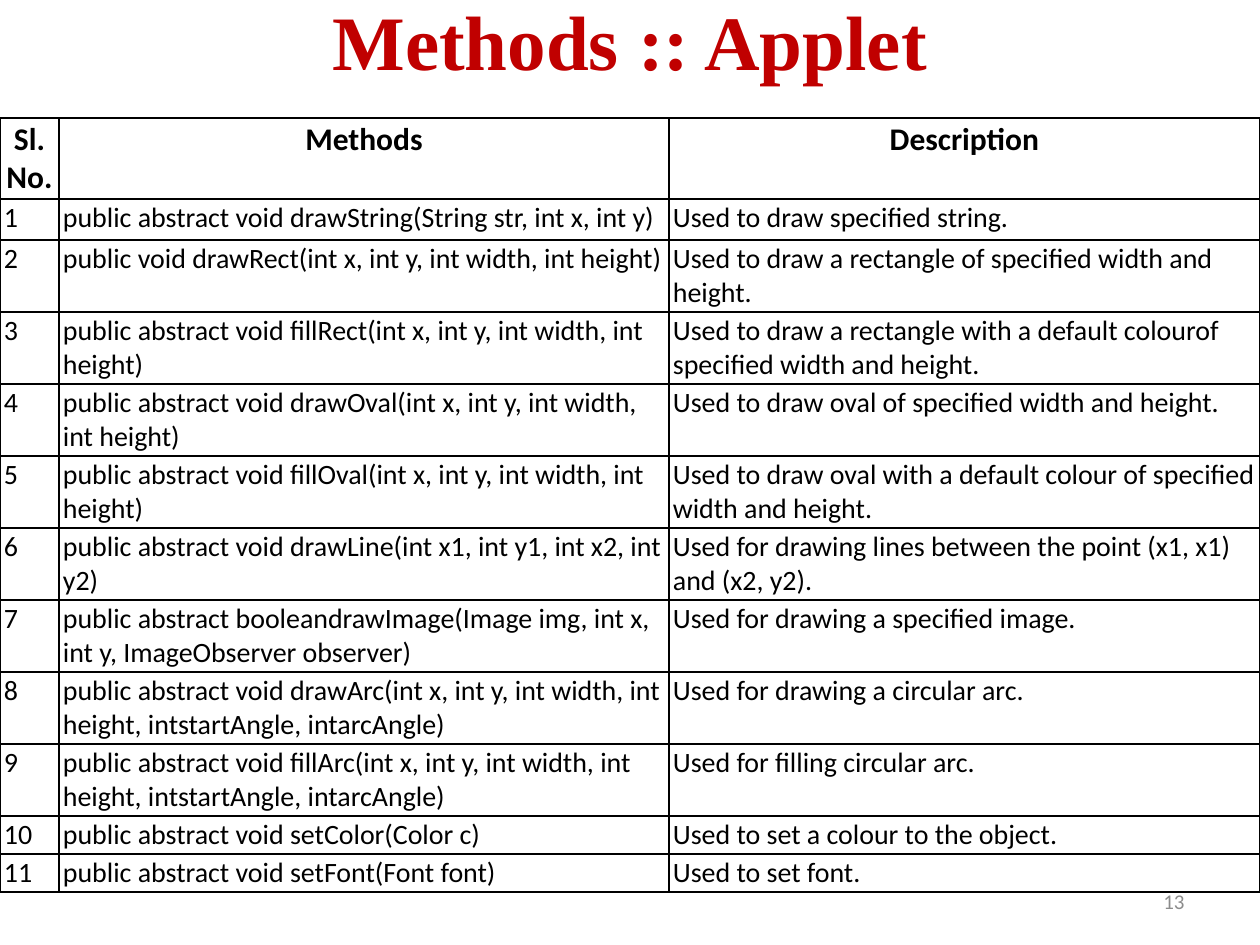
from pptx import Presentation, util as u
from pptx.dml.color import RGBColor
from pptx.enum import text
from pptx.oxml import parse_xml
from pptx.oxml.ns import nsdecls

PX = 914400 / 126
RED = RGBColor(0xC0, 0x00, 0x00)
BLACK = RGBColor(0x00, 0x00, 0x00)
GREY = RGBColor(0x8C, 0x8C, 0x8C)
WHITE = RGBColor(0xFF, 0xFF, 0xFF)

HEADER = ("Sl. No.", "Methods", "Description")
METHODS = [
    ("public abstract void drawString(String str, int x, int y)",
     "Used to draw specified string."),
    ("public void drawRect(int x, int y, int width, int height)",
     "Used to draw a rectangle of specified width and height."),
    ("public abstract void fillRect(int x, int y, int width, int height)",
     "Used to draw a rectangle with a default colourof specified width and height."),
    ("public abstract void drawOval(int x, int y, int width, int height)",
     "Used to draw oval of specified width and height."),
    ("public abstract void fillOval(int x, int y, int width, int height)",
     "Used to draw oval with a default colour of specified width and height."),
    ("public abstract void drawLine(int x1, int y1, int x2, int y2)",
     "Used for drawing lines between the point (x1, x1) and (x2, y2)."),
    ("public abstract booleandrawImage(Image img, int x, int y, ImageObserver observer)",
     "Used for drawing a specified image."),
    ("public abstract void drawArc(int x, int y, int width, int height, intstartAngle, intarcAngle)",
     "Used for drawing a circular arc."),
    ("public abstract void fillArc(int x, int y, int width, int height, intstartAngle, intarcAngle)",
     "Used for filling circular arc."),
    ("public abstract void setColor(Color c)",
     "Used to set a colour to the object."),
    ("public abstract void setFont(Font font)",
     "Used to set font."),
]
COLUMN_WIDTHS = (59, 610, 591)
ROW_HEIGHTS = [81, 41] + [72] * 8 + [38] * 2


def px(length):
    return u.Emu(round(length * PX))


def style(paragraph, size, color, font="Calibri", bold=False, align=text.PP_ALIGN.LEFT):
    paragraph.alignment = align
    paragraph.font.size = u.Pt(size)
    paragraph.font.name = font
    paragraph.font.bold = bold
    paragraph.font.color.rgb = color


def add_title(slide, wording):
    title = slide.shapes.title
    title.left, title.top, title.width, title.height = px(0), px(-39), px(1260), px(157)
    frame = title.text_frame
    frame.text = wording
    frame.vertical_anchor = text.MSO_ANCHOR.MIDDLE
    style(frame.paragraphs[0], 44, RED, "Times New Roman", True, text.PP_ALIGN.CENTER)


def add_page_number(slide, number):
    frame = slide.shapes.add_textbox(px(903), px(876), px(294), px(50)).text_frame
    frame.word_wrap = True
    frame.vertical_anchor = text.MSO_ANCHOR.MIDDLE
    frame.text = number
    style(frame.paragraphs[0], 12, GREY, align=text.PP_ALIGN.RIGHT)


def add_borders(cell):
    properties = cell._tc.get_or_add_tcPr()
    for position, side in enumerate(("lnL", "lnR", "lnT", "lnB")):
        properties.insert(position, parse_xml(
            f'<a:{side} {nsdecls("a")} w="12700"><a:solidFill>'
            f'<a:srgbClr val="{BLACK}"/></a:solidFill></a:{side}>'))


def fill_cell(cell, wording, is_header):
    cell.margin_left = cell.margin_right = px(4)
    cell.margin_top = cell.margin_bottom = px(2)
    cell.fill.solid()
    cell.fill.fore_color.rgb = WHITE
    add_borders(cell)
    cell.text = wording
    style(cell.text_frame.paragraphs[0], 18 if is_header else 16, BLACK, bold=is_header,
          align=text.PP_ALIGN.CENTER if is_header else text.PP_ALIGN.LEFT)


def add_methods_table(slide):
    rows = [HEADER] + [(str(n), *method) for n, method in enumerate(METHODS, 1)]
    table = slide.shapes.add_table(len(rows), len(HEADER), px(0), px(118),
                                   px(sum(COLUMN_WIDTHS)), px(sum(ROW_HEIGHTS))).table
    for column, width in zip(table.columns, COLUMN_WIDTHS):
        column.width = px(width)
    for row, height, wordings in zip(table.rows, ROW_HEIGHTS, rows):
        row.height = px(height)
        for cell, wording in zip(row.cells, wordings):
            fill_cell(cell, wording, wordings is HEADER)


def main():
    deck = Presentation()
    deck.slide_width, deck.slide_height = px(1260), px(945)
    slide = deck.slides.add_slide(deck.slide_layouts[5])

    # Heading and page number; the table lies over the number's top edge
    add_title(slide, "Methods :: Applet")
    add_page_number(slide, "13")

    # Numbered methods with their descriptions
    add_methods_table(slide)
    deck.save("out.pptx")


if __name__ == "__main__":
    main()
